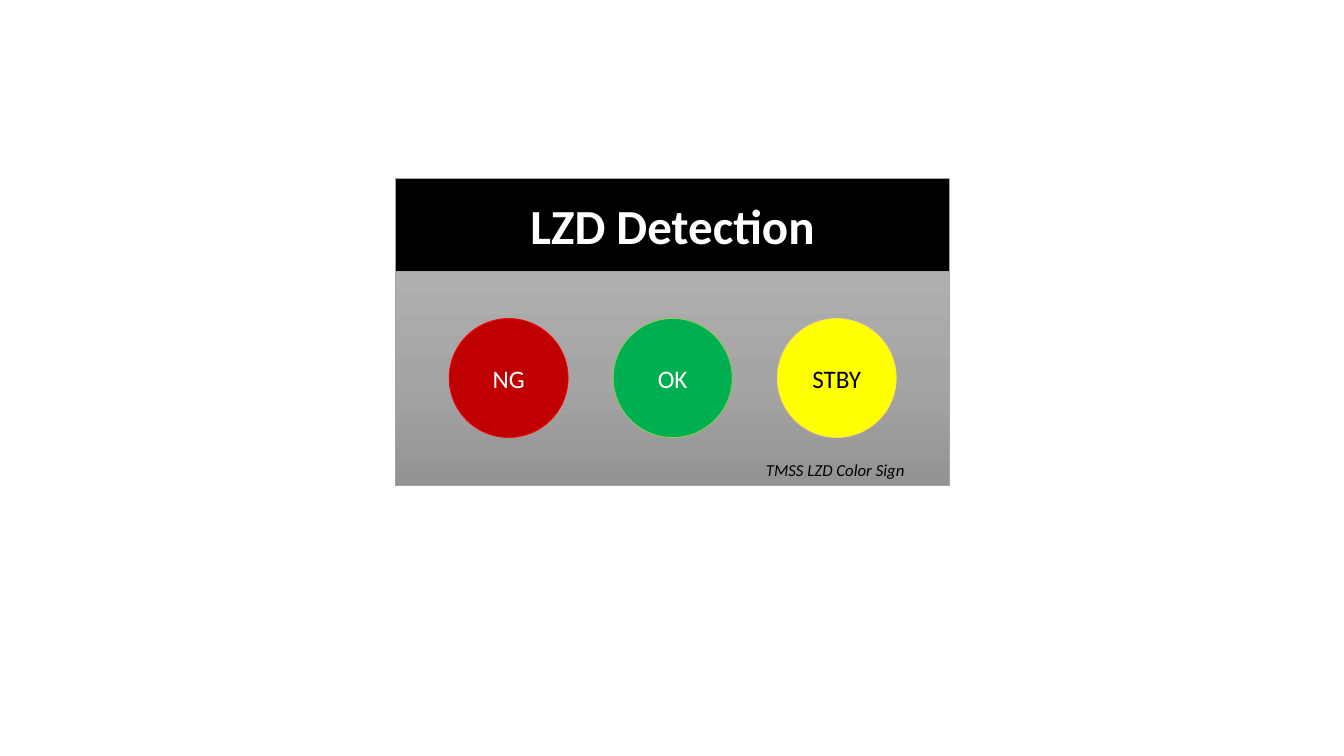
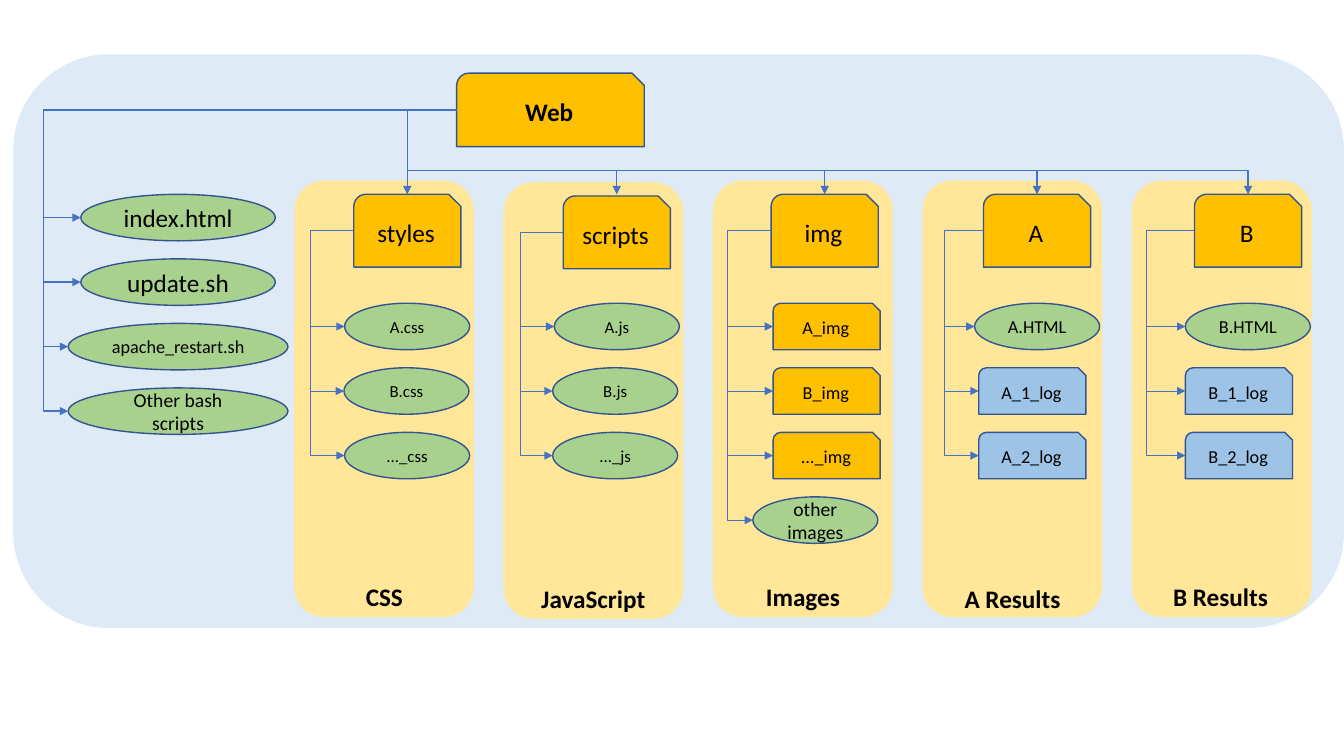
from copy import deepcopy

from lxml.etree import SubElement
from pptx import Presentation
from pptx.dml.color import RGBColor as RGB
from pptx.enum.shapes import MSO_CONNECTOR as Link, MSO_SHAPE as Geo
from pptx.enum.text import MSO_ANCHOR as Anchor, MSO_AUTO_SIZE as Fit, PP_ALIGN as Align
from pptx.oxml.ns import qn
from pptx.util import Pt

FONT = "Calibri"
BLACK, WHITE = RGB(0, 0, 0), RGB(255, 255, 255)
GRAY = RGB(0xA5, 0xA5, 0xA5)
SHADES = [(0, RGB(0xAF, 0xAF, 0xAF)), (0.5, GRAY), (1, RGB(0x93, 0x93, 0x93))]
RED, RIM_RED = RGB(0xC0, 0, 0), RGB(0xFF, 0, 0)
GREEN, RIM_GREEN = RGB(0, 0xB0, 0x50), RGB(0x92, 0xD0, 0x50)
YELLOW, RIM_YELLOW = RGB(0xFF, 0xFF, 0), RGB(0xFF, 0xD9, 0x66)
PALE, CREAM = RGB(0xDE, 0xEB, 0xF7), RGB(0xFF, 0xE6, 0x99)
GOLD, LEAF, SKY = RGB(0xFF, 0xC0, 0), RGB(0xA9, 0xD1, 0x8E), RGB(0x9D, 0xC3, 0xE6)
EDGE, WIRE = RGB(0x32, 0x54, 0x91), RGB(0x44, 0x72, 0xC4)

# Slide 1: label, fill, rim, text colour
LAMPS = [
    ("NG", RED, RIM_RED, WHITE),
    ("OK", GREEN, RIM_GREEN, WHITE),
    ("STBY", YELLOW, RIM_YELLOW, BLACK),
]

# Slide 2: kind -> outline, fill, width
KINDS = {
    "file": (Geo.OVAL, LEAF, 89.3),
    "dir": (Geo.SNIP_ROUND_RECTANGLE, GOLD, 76.5),
    "log": (Geo.SNIP_ROUND_RECTANGLE, SKY, 76.5),
}
# text, size, left, width
FILES = [
    ("index.html", 18, 57.7, 139),
    ("update.sh", 18, 57.7, 139),
    ("apache_restart.sh", 13, 48.7, 157),
    ("Other bash scripts", 14, 48.7, 157),
]
# items: text, kind, size, left
GROUPS = [
    dict(name="styles", left=252.7, rail=222, drop=0,
         label=("CSS", 254.2, 41),
         items=[("A.css", "file", 12, 246.2), ("B.css", "file", 12, 245.7),
                ("..._css", "file", 12, 246.2)]),
    dict(name="scripts", left=402.3, rail=371.7, drop=1.2,
         label=("JavaScript", 379.5, 89.3),
         items=[("A.js", "file", 12, 396), ("B.js", "file", 12, 394.8),
                ("..._js", "file", 12, 394.8)]),
    dict(name="img", left=550.8, rail=519.4, drop=0,
         label=("Images", 540, 67.7),
         items=[("A_img", "dir", 13, 552.2), ("B_img", "dir", 13, 552.2),
                ("..._img", "dir", 13, 552.2), ("other images", "file", 14, 537.8)]),
    dict(name="A", left=702.5, rail=674.6, drop=0,
         label=("A Results", 681.9, 83.5),
         items=[("A.HTML", "file", 13, 696.2), ("A_1_log", "log", 13, 699.1),
                ("A_2_log", "log", 13, 699.1)]),
    dict(name="B", left=853.2, rail=818.6, drop=0,
         label=("B Results", 830.9, 82.8),
         items=[("B.HTML", "file", 13, 846.7), ("B_1_log", "log", 13, 846.7),
                ("B_2_log", "log", 13, 846.7)]),
]
LABEL_TOPS = [411.8, 413.3, 411.8, 413.3, 411.8]
PITCH, ITEM_H, DIR_H = 46.1, 33.2, 52
FILE_TOP, ITEM_TOP = 138.8, 216.6
BOX_LEFT, BOX_STEP = 210.2, 149.6
RAIL, BUS = 31, 121.7


def write(shape, text, size=18, color=BLACK, bold=False, italic=False, align=Align.CENTER):
    frame = shape.text_frame
    frame.text = text
    frame.vertical_anchor = Anchor.MIDDLE
    para = frame.paragraphs[0]
    para.alignment = align
    font = para.runs[0].font
    font.name, font.size, font.bold, font.italic = FONT, Pt(size), bold, italic
    font.color.rgb = color


def paint(shape, fill, line=None, width=1):
    if fill:
        shape.fill.solid()
        shape.fill.fore_color.rgb = fill
    if line:
        shape.line.color.rgb = line
        shape.line.width = Pt(width)
    else:
        shape.line.fill.background()


def draw(slide, geo, box, fill, line=None, width=1):
    shape = slide.shapes.add_shape(geo, *map(Pt, box))
    shape.shadow.inherit = False
    paint(shape, fill, line, width)
    return shape


def note(slide, text, box, **style):
    """Add a one-line text box that does not wrap."""
    area = slide.shapes.add_textbox(*map(Pt, box))
    write(area, text, align=Align.LEFT, **style)
    area.text_frame.vertical_anchor = Anchor.TOP
    area.text_frame.word_wrap = False
    area.text_frame.auto_size = Fit.SHAPE_TO_FIT_TEXT


def shade(shape, stops):
    """Fill from top to bottom with three colour stops."""
    shape.fill.gradient()
    shape.fill.gradient_angle = 270
    first = shape._element.spPr.find(".//" + qn("a:gs"))
    first.addnext(deepcopy(first))
    for stop, (place, color) in zip(shape.fill.gradient_stops, stops):
        stop.position = place
        stop.color.rgb = color


def wire(slide, start, end, bends, width=1):
    """Draw an elbow arrow; bends are its turns: x, then y if there are two."""
    link = slide.shapes.add_connector(Link.ELBOW, *map(Pt, start + end))
    link.line.color.rgb = WIRE
    link.line.width = Pt(width)
    props = link._element.spPr
    geom = props.find(qn("a:prstGeom"))
    geom.set("prst", f"bentConnector{len(bends) + 2}")
    guides = geom.find(qn("a:avLst"))
    if guides is None:
        guides = SubElement(geom, qn("a:avLst"))
    for i, (bend, a, b) in enumerate(zip(bends, start, end), 1):
        ratio = round((bend - a) / (b - a) * 100000)
        SubElement(guides, qn("a:gd"), name=f"adj{i}", fmla=f"val {ratio}")
    line = props.find(qn("a:ln"))
    SubElement(line, qn("a:tailEnd"), type="triangle")
    SubElement(props, qn("a:effectLst"))


def sign(deck):
    slide = deck.slides.add_slide(deck.slide_layouts[5])
    left, top, wide, high = 282.5, 127.5, 396, 66.2
    head = slide.shapes.title
    head.left, head.top, head.width, head.height = map(Pt, (left, top, wide, high))
    paint(head, BLACK, GRAY, 0.5)
    write(head, "LZD Detection", size=35, color=WHITE, bold=True)
    head.text_frame.auto_size = Fit.NONE
    panel = draw(slide, Geo.RECTANGLE, (left, top + high, wide, 153), None, GRAY, 0.5)
    shade(panel, SHADES)
    size, step = 85, 117.2
    first = left + (wide - size) / 2 - step
    for i, (text, fill, rim, color) in enumerate(LAMPS):
        lamp = draw(slide, Geo.OVAL, (first + i * step, 227.5, size, size), fill, rim, 0.5)
        write(lamp, text, color=color)
    note(slide, "TMSS LZD Color Sign", (540, 324.9, 114.5, 21.8), size=12, italic=True)


def tree(deck):
    slide = deck.slides.add_slide(deck.slide_layouts[6])
    draw(slide, Geo.ROUNDED_RECTANGLE, (9.5, 38.8, 950.5, 409.8), PALE)
    web = draw(slide, Geo.SNIP_ROUND_RECTANGLE, (326.2, 52.3, 134, DIR_H + 0.5), GOLD, EDGE)
    write(web, "Web", bold=True)
    root = (326.2, 78.5)

    for i, (text, size, left, wide) in enumerate(FILES):
        top = FILE_TOP + i * PITCH
        leaf = draw(slide, Geo.OVAL, (left, top, wide, ITEM_H), LEAF, EDGE)
        write(leaf, text, size=size)
        wire(slide, root, (left, top + ITEM_H / 2), [RAIL])

    geo, fill, wide = KINDS["dir"]
    trunk = GROUPS[0]["left"] + wide / 2
    for i, group in enumerate(GROUPS):
        left, drop = group["left"], group["drop"]
        top = FILE_TOP + drop
        box = (BOX_LEFT + i * BOX_STEP, 129 + drop, 128.2, 311.8)
        draw(slide, Geo.ROUNDED_RECTANGLE, box, CREAM)
        folder = draw(slide, geo, (left, top, wide, DIR_H), fill, EDGE)
        write(folder, group["name"])
        wire(slide, root, (left + wide / 2, FILE_TOP), [trunk, BUS] if i else [])
        for row, (text, kind, size, x) in enumerate(group["items"]):
            form, color, span = KINDS[kind]
            y = ITEM_TOP + row * PITCH
            item = draw(slide, form, (x, y, span, ITEM_H), color, EDGE)
            write(item, text, size=size)
            wire(slide, (left, top + DIR_H / 2), (x, y + ITEM_H / 2), [group["rail"]], 0.75)
        text, x, span = group["label"]
        note(slide, text, (x, LABEL_TOPS[i], span, 29), bold=True)


def main():
    deck = Presentation()
    deck.slide_width, deck.slide_height = Pt(960), Pt(540)
    sign(deck)
    tree(deck)
    deck.save("out.pptx")


if __name__ == "__main__":
    main()
